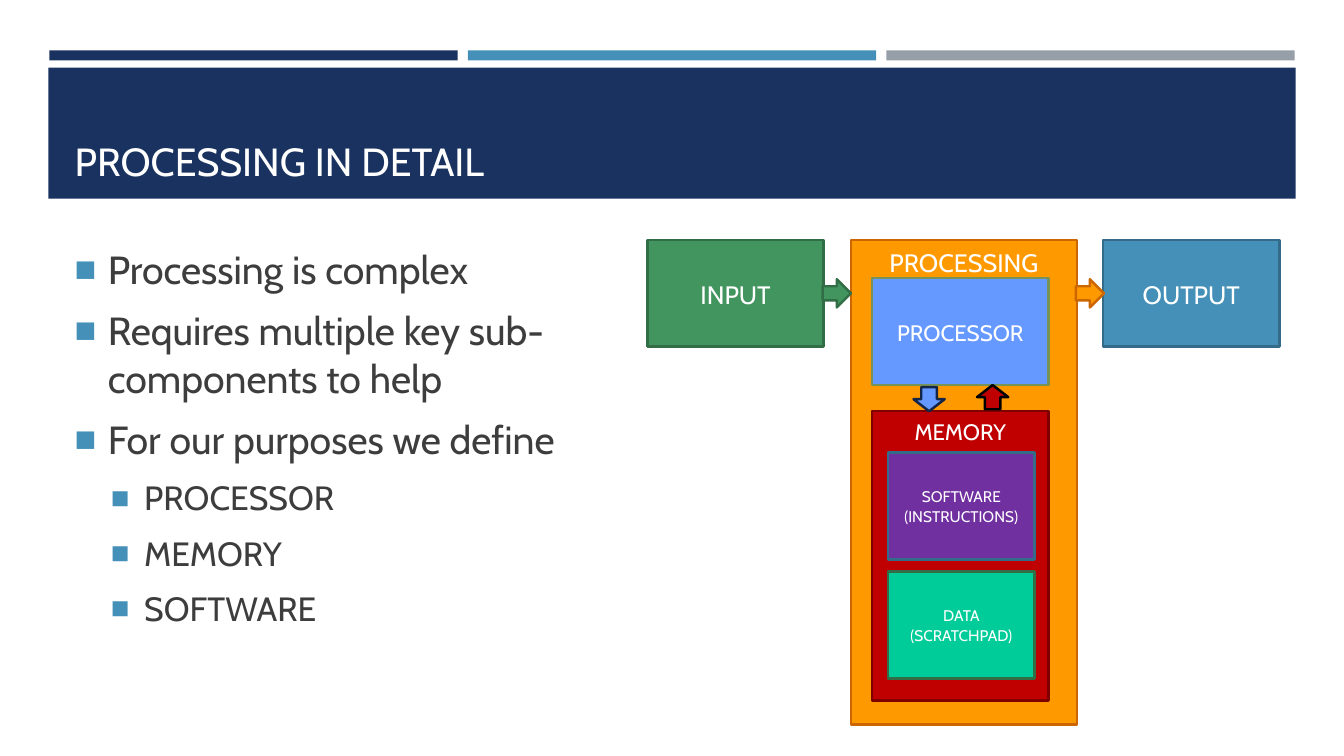
"""Build the slide on processing, its sub-components and their data flow."""
from lxml.etree import SubElement
from pptx import Presentation
from pptx.dml.color import RGBColor
from pptx.enum.shapes import MSO_SHAPE
from pptx.enum.text import MSO_ANCHOR, MSO_AUTO_SIZE, PP_ALIGN
from pptx.oxml.ns import qn
from pptx.util import Inches, Pt

WHITE = RGBColor(0xFF, 0xFF, 0xFF)
BLACK = RGBColor(0x00, 0x00, 0x00)
CHARCOAL = RGBColor(0x3D, 0x3D, 0x3D)
NAVY = RGBColor(0x1A, 0x32, 0x60)
DARK_NAVY = RGBColor(0x14, 0x26, 0x48)
BLUE = RGBColor(0x45, 0x90, 0xB8)
DARK_BLUE = RGBColor(0x33, 0x6B, 0x88)
GREY = RGBColor(0x96, 0x9F, 0xA7)
ORANGE = RGBColor(0xFF, 0x99, 0x00)
DARK_ORANGE = RGBColor(0xCC, 0x66, 0x00)
PERIWINKLE = RGBColor(0x66, 0x99, 0xFF)
OLIVE = RGBColor(0x78, 0x93, 0x58)
RED = RGBColor(0xC0, 0x00, 0x00)
MAROON = RGBColor(0x80, 0x00, 0x00)
PURPLE = RGBColor(0x70, 0x30, 0xA0)
TEAL = RGBColor(0x00, 0xCC, 0x99)
GREEN = RGBColor(0x42, 0x95, 0x5F)
DARK_GREEN = RGBColor(0x31, 0x6E, 0x46)


def write(paragraph, text, size=18, color=WHITE, align=PP_ALIGN.LEFT,
          line_spacing=1.0, before=0, after=0):
    paragraph.text = text
    paragraph.alignment = align
    paragraph.line_spacing = line_spacing
    paragraph.space_before = Pt(before)
    paragraph.space_after = Pt(after)
    for run in paragraph.runs:
        run.font.name = "Cabin"
        run.font.size = Pt(size)
        run.font.color.rgb = color
    for line_break in paragraph._p.findall(qn("a:br")):
        SubElement(line_break, qn("a:rPr"), sz=str(size * 100))


def add_block(kind, left, top, width, height, fill, outline=None):
    block = slide.shapes.add_shape(
        kind, Inches(left), Inches(top), Inches(width), Inches(height))
    block.shadow.inherit = False
    block.fill.solid()
    block.fill.fore_color.rgb = fill
    if outline is None:
        block.line.fill.background()
    else:
        block.line.color.rgb = outline
        block.line.width = Pt(1.75)
    return block


presentation = Presentation()
presentation.slide_width = Inches(13.33)
presentation.slide_height = Inches(7.5)
slide = presentation.slides.add_slide(presentation.slide_layouts[1])

banner = [add_block(MSO_SHAPE.RECTANGLE, 0.49 + 4.15 * column, 0.5, 4.05, 0.1, color)
          for column, color in enumerate((NAVY, BLUE, GREY))]
banner.append(add_block(MSO_SHAPE.RECTANGLE, 0.48, 0.67, 12.37, 1.3, NAVY))
for position, band in enumerate(banner, start=2):
    slide.shapes._spTree.insert(position, band._element)

title = slide.shapes.title
title.left, title.top = Inches(0.64), Inches(0.77)
title.width, title.height = Inches(12.06), Inches(1.11)
title.text_frame.vertical_anchor = MSO_ANCHOR.BOTTOM
title.text_frame.auto_size = MSO_AUTO_SIZE.NONE
write(title.text_frame.paragraphs[0], "PROCESSING IN DETAIL", size=28)

points = slide.placeholders[1]
points.left, points.top = Inches(0.64), Inches(2.38)
points.width, points.height = Inches(5.63), Inches(4.81)
points.text_frame.auto_size = MSO_AUTO_SIZE.NONE
for number, (level, point) in enumerate((
        (0, "Processing is complex"),
        (0, "Requires multiple key sub-components to help"),
        (0, "For our purposes we define"),
        (1, "PROCESSOR"),
        (1, "MEMORY"),
        (1, "SOFTWARE"))):
    paragraph = (points.text_frame.add_paragraph() if number
                 else points.text_frame.paragraphs[0])
    paragraph.level = level
    properties = paragraph._p.get_or_add_pPr()
    properties.set("marL", str(Inches((0.33, 0.69)[level])))
    properties.set("indent", str(Inches(-0.33)))
    bullet_color = SubElement(properties, qn("a:buClr"))
    SubElement(bullet_color, qn("a:srgbClr"), val=str(BLUE))
    SubElement(properties, qn("a:buSzPct"), val="92000")
    SubElement(properties, qn("a:buChar"), char="■")
    write(paragraph, point, size=(28, 24)[level], color=CHARCOAL,
          before=4.5 if number else 0, after=6)

for label, left, top, width, height, fill, outline, size, anchor in (
        ("PROCESSING", 8.44, 2.38, 2.24, 4.81, ORANGE, DARK_ORANGE, 18, MSO_ANCHOR.TOP),
        ("PROCESSOR", 8.65, 2.76, 1.75, 1.06, PERIWINKLE, OLIVE, 16, MSO_ANCHOR.MIDDLE),
        ("MEMORY", 8.65, 4.08, 1.75, 2.87, RED, MAROON, 16, MSO_ANCHOR.TOP),
        ("SOFTWARE\n(INSTRUCTIONS)", 8.81, 4.49, 1.45, 1.06, PURPLE, DARK_BLUE, 11,
         MSO_ANCHOR.MIDDLE),
        ("DATA\n(SCRATCHPAD)", 8.81, 5.67, 1.45, 1.06, TEAL, DARK_GREEN, 11,
         MSO_ANCHOR.MIDDLE),
        ("INPUT", 6.42, 2.38, 1.75, 1.06, GREEN, DARK_GREEN, 18, MSO_ANCHOR.MIDDLE),
        ("OUTPUT", 10.94, 2.38, 1.75, 1.06, BLUE, DARK_BLUE, 18, MSO_ANCHOR.MIDDLE)):
    component = add_block(MSO_SHAPE.RECTANGLE, left, top, width, height, fill, outline)
    component.text_frame.word_wrap = True
    component.text_frame.vertical_anchor = anchor
    write(component.text_frame.paragraphs[0], label, size=size,
          align=PP_ALIGN.CENTER, line_spacing=1.07, after=8)

for kind, left, top, width, height, fill, outline, rotation in (
        (MSO_SHAPE.DOWN_ARROW, 9.06, 3.84, 0.31, 0.24, PERIWINKLE, DARK_NAVY, 0),
        (MSO_SHAPE.DOWN_ARROW, 9.69, 3.82, 0.31, 0.24, RED, BLACK, 180),
        (MSO_SHAPE.RIGHT_ARROW, 8.16, 2.77, 0.28, 0.28, GREEN, DARK_GREEN, 0),
        (MSO_SHAPE.RIGHT_ARROW, 10.67, 2.77, 0.28, 0.28, ORANGE, DARK_ORANGE, 0)):
    flow = add_block(kind, left, top, width, height, fill, outline)
    flow.rotation = rotation

presentation.save("out.pptx")
